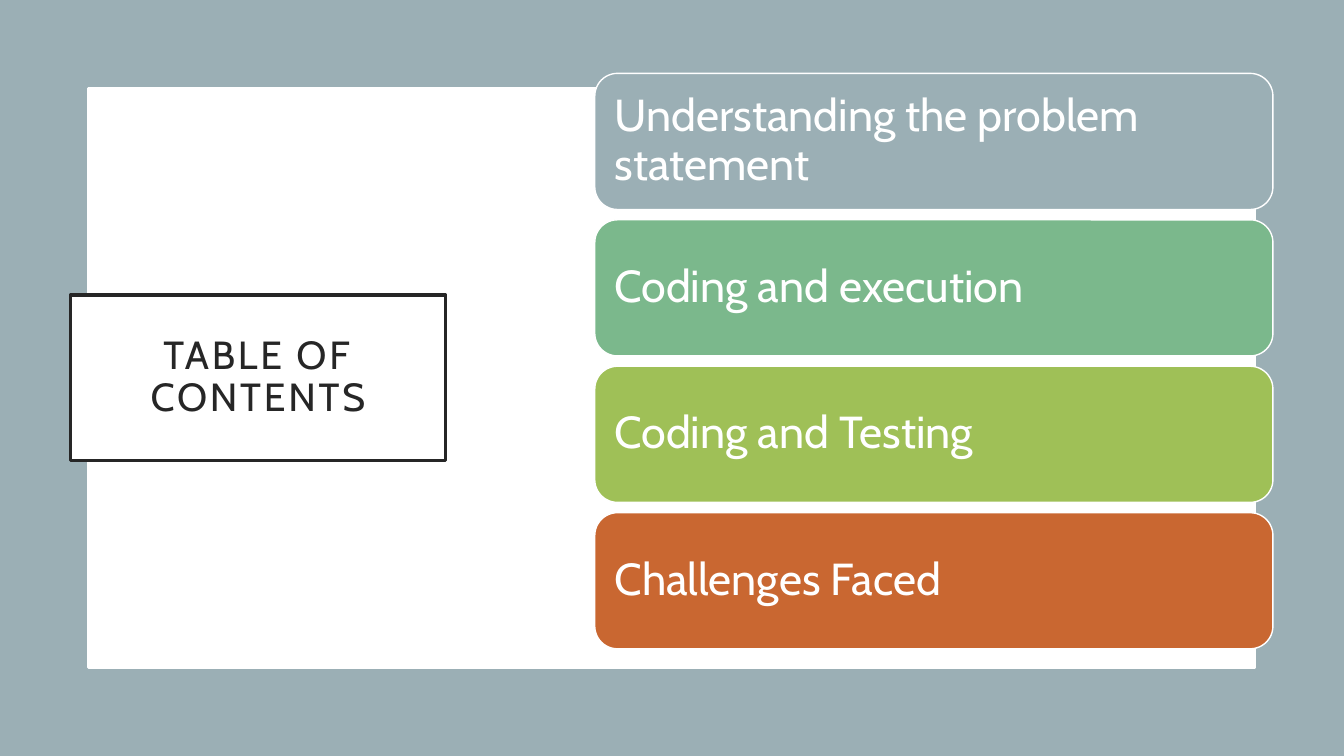
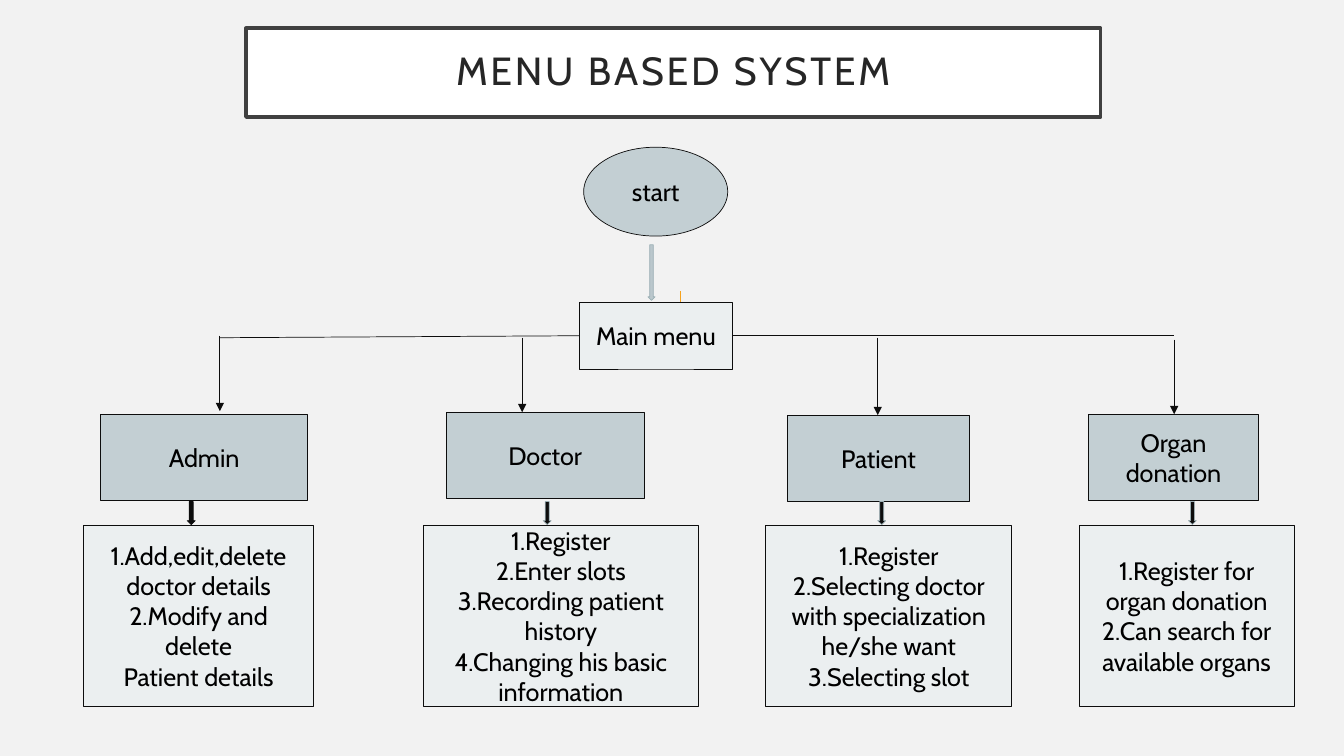
"""Build a contents slide and a menu flowchart slide."""
from dataclasses import dataclass

from pptx import Presentation
from pptx.dml.color import RGBColor
from pptx.enum.shapes import MSO_CONNECTOR, MSO_SHAPE as SHAPE
from pptx.enum.text import MSO_ANCHOR, PP_ALIGN as ALIGN
from pptx.oxml.ns import qn
from pptx.util import Cm, Pt
from lxml.etree import SubElement


@dataclass(frozen=True)
class Theme:
    font: str = "Cabin"
    page: str = "F2F2F2"
    white: str = "FFFFFF"
    black: str = "000000"
    title: str = "262626"
    frame: str = "404040"
    ink: str = "0D0D0D"
    slate: str = "9BAFB5"
    green: str = "7BB88C"
    lime: str = "9FC057"
    rust: str = "C96731"
    amber: str = "F6A21D"
    node: str = "C3CFD3"
    detail: str = "EBEFF0"
    arrow: str = "BAC7CC"
    title_size: int = 28
    topic_size: int = 32
    node_size: int = 18


T = Theme()

CONTENTS = [
    ("Understanding the problem statement", T.slate),
    ("Coding and execution", T.green),
    ("Coding and Testing", T.lime),
    ("Challenges Faced", T.rust),
]
TOPIC_X, TOPIC_Y, TOPIC_W, TOPIC_H, TOPIC_GAP = 14.99, 1.85, 17.09, 3.43, 0.26

BRANCHES = [
    dict(name="Admin", head=(2.54, 10.44, 5.21), detail=(2.11, 5.79),
         drop=(5.54, 8.46, 10.36), arrow=4.72, edge=T.ink,
         tasks=["1.Add,edit,delete doctor details", "2.Modify and delete",
                "Patient details"]),
    dict(name="Doctor", head=(11.25, 10.39, 4.98), detail=(10.67, 6.93),
         drop=(13.16, 8.51, 10.39), arrow=13.69, edge=T.slate,
         tasks=["1.Register", "2.Enter slots", "3.Recording patient history",
                "4.Changing his basic information"]),
    dict(name="Patient", head=(19.84, 10.46, 4.6), detail=(19.3, 6.2),
         drop=(22.12, 8.51, 10.46), arrow=22.12, edge=T.slate,
         tasks=["1.Register",
                "2.Selecting doctor with specialization he/she want",
                "3.Selecting slot"]),
    dict(name="Organ donation", head=(27.43, 10.44, 4.29), detail=(27.2, 5.41),
         drop=(29.59, 8.56, 10.44), arrow=29.95, edge=T.slate,
         tasks=["1.Register for organ donation",
                "2.Can search for available organs"]),
]
HEAD_H, DETAIL_Y, DETAIL_H = 2.18, 13.23, 4.57
ARROW_Y, ARROW_W, ARROW_H = 12.64, 0.2, 0.58
MAIN_MENU = (14.61, 7.62, 3.84, 1.68)
RAIL_Y = 8.46


def rgb(value):
    return RGBColor.from_string(value)


def add_box(slide, kind, at, fill, line=None, weight=0.5):
    sp = slide.shapes.add_shape(kind, *map(Cm, at))
    sp.shadow.inherit = False
    sp.fill.solid()
    sp.fill.fore_color.rgb = rgb(fill)
    if line:
        sp.line.color.rgb = rgb(line)
        sp.line.width = Pt(weight)
    else:
        sp.line.fill.background()
    return sp


def write(sp, lines, size=T.node_size, color=T.black, align=ALIGN.CENTER,
          spacing=None, tracking=None, inset=None):
    tf = sp.text_frame
    tf.word_wrap = True
    tf.vertical_anchor = MSO_ANCHOR.MIDDLE
    if inset is not None:
        tf.margin_left = tf.margin_right = Cm(inset)
        tf.margin_top = tf.margin_bottom = Cm(inset)
    for i, text in enumerate(lines):
        p = tf.add_paragraph() if i else tf.paragraphs[0]
        p.alignment = align
        p.line_spacing = spacing
        r = p.add_run()
        r.text = text
        r.font.name = T.font
        r.font.size = Pt(size)
        r.font.color.rgb = rgb(color)
        if tracking:
            r.font._element.set("spc", str(tracking * 100))


def add_title(slide, text, at, line):
    sp = add_box(slide, SHAPE.RECTANGLE, at, T.white, line, 2.5)
    write(sp, [text], size=T.title_size, color=T.title, spacing=0.9,
          tracking=2, inset=0.51)


def add_node(slide, lines, at, fill=T.node, kind=SHAPE.RECTANGLE):
    write(add_box(slide, kind, at, fill, T.ink), lines)


def add_line(slide, x1, y1, x2, y2, color=T.ink, arrow=False):
    line = slide.shapes.add_connector(
        MSO_CONNECTOR.STRAIGHT, *map(Cm, (x1, y1, x2, y2)))
    line.line.color.rgb = rgb(color)
    line.line.width = Pt(0.5)
    if arrow:
        SubElement(line.line._get_or_add_ln(), qn("a:tailEnd"), type="triangle")
    SubElement(line._element.spPr, qn("a:effectLst"))


def build_contents(slide):
    add_box(slide, SHAPE.RECTANGLE, (0, 0, 33.87, 19.05), T.slate)
    add_box(slide, SHAPE.RECTANGLE, (2.24, 2.24, 29.39, 14.58),
            T.white, T.white, 2)
    add_title(slide, "TABLE OF CONTENTS", (1.78, 7.44, 9.45, 4.17), T.title)
    for i, (topic, color) in enumerate(CONTENTS):
        y = TOPIC_Y + i * (TOPIC_H + TOPIC_GAP)
        sp = add_box(slide, SHAPE.ROUNDED_RECTANGLE,
                     (TOPIC_X, y, TOPIC_W, TOPIC_H), color, T.white, 1)
        write(sp, [topic], size=T.topic_size, color=T.white, align=ALIGN.LEFT,
              spacing=0.9, inset=0.33)


def build_menu(slide):
    add_title(slide, "MENU BASED SYSTEM", (6.2, 0.71, 21.54, 2.24), T.frame)
    add_node(slide, ["start"], (14.71, 3.71, 3.63, 2.24), kind=SHAPE.OVAL)
    add_line(slide, 17.15, 7.34, 17.15, 8.56, T.amber, arrow=True)
    add_node(slide, ["Main menu"], MAIN_MENU, T.detail)
    add_box(slide, SHAPE.DOWN_ARROW, (16.33, 6.17, 0.18, 1.4), T.arrow, T.slate)

    menu_x, _, menu_w, _ = MAIN_MENU
    add_line(slide, menu_x, RAIL_Y, BRANCHES[0]["drop"][0], RAIL_Y + 0.05)
    add_line(slide, menu_x + menu_w, RAIL_Y, BRANCHES[-1]["drop"][0], RAIL_Y)

    for branch in BRANCHES:
        x, y, w = branch["head"]
        add_node(slide, [branch["name"]], (x, y, w, HEAD_H))
        x, w = branch["detail"]
        add_node(slide, branch["tasks"], (x, DETAIL_Y, w, DETAIL_H), T.detail)
        x, top, bottom = branch["drop"]
        add_line(slide, x, top, x, bottom, arrow=True)
        add_box(slide, SHAPE.DOWN_ARROW,
                (branch["arrow"], ARROW_Y, ARROW_W, ARROW_H),
                T.ink, branch["edge"])


def main():
    prs = Presentation()
    prs.slide_width, prs.slide_height = Cm(33.87), Cm(19.05)
    background = prs.slide_master.background.fill
    background.solid()
    background.fore_color.rgb = rgb(T.page)
    for build in (build_contents, build_menu):
        build(prs.slides.add_slide(prs.slide_layouts[6]))
    prs.save("out.pptx")


if __name__ == "__main__":
    main()
